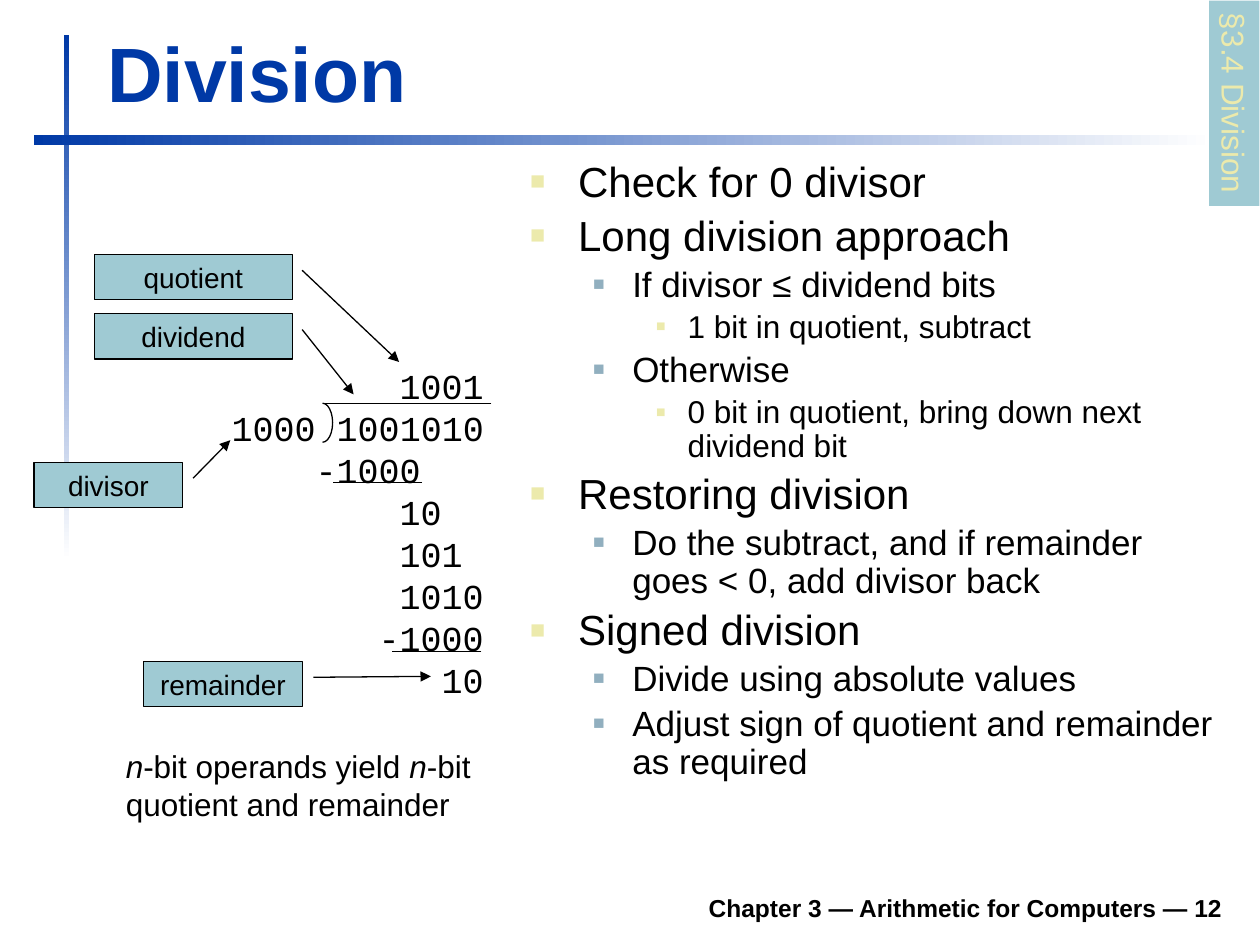
"""Build the Division slide: a long-division diagram beside a bulleted summary."""
from lxml.etree import SubElement
from pptx import Presentation
from pptx.dml.color import RGBColor
from pptx.enum.shapes import MSO_CONNECTOR, MSO_SHAPE
from pptx.enum.text import MSO_ANCHOR, MSO_AUTO_SIZE, PP_ALIGN
from pptx.oxml import parse_xml
from pptx.oxml.ns import nsdecls, qn
from pptx.util import Inches, Pt

BLUE, TEAL, CREAM, STEEL = "0039A6", "9FCAD3", "ECEAAC", "91AFBF"
BLACK, WHITE = "000000", "FFFFFF"


def rgb(value):
    return RGBColor.from_string(value)


def style(paragraph, size, color=BLACK, name="Arial", bold=False):
    font = paragraph.font
    font.size, font.name, font.bold = Pt(size), name, bold
    font.color.rgb = rgb(color)


deck = Presentation()
deck.slide_width, deck.slide_height = Inches(10), Inches(7.5)
slide = deck.slides.add_slide(deck.slide_layouts[5])
shapes = slide.shapes

for left, top, width, height, angle in (
    (0.51, 0.28, 0.04, 4.17, 270),
    (0.27, 1.07, 9.37, 0.08, 0),
):
    rule = shapes.add_shape(MSO_SHAPE.RECTANGLE, Inches(left), Inches(top), Inches(width), Inches(height))
    rule.shadow.inherit = False
    rule.line.fill.background()
    rule.fill.gradient()
    rule.fill.gradient_angle = angle
    for stop, color, position in zip(rule.fill.gradient_stops, (BLUE, WHITE), (0, 1)):
        stop.color.rgb = rgb(color)
        stop.position = position

title = shapes.title
title.left, title.top, title.width, title.height = Inches(0.75), Inches(0.16), Inches(9.03), Inches(0.83)
title.text_frame.text = "Division"
title.text_frame.vertical_anchor = MSO_ANCHOR.BOTTOM
title.text_frame.auto_size = MSO_AUTO_SIZE.NONE
title.text_frame.paragraphs[0].alignment = PP_ALIGN.LEFT
style(title.text_frame.paragraphs[0], 44, BLUE, bold=True)

footer = shapes.add_textbox(Inches(1.85), Inches(6.98), Inches(7.95), Inches(0.39)).text_frame
footer.word_wrap = True
footer.vertical_anchor = MSO_ANCHOR.BOTTOM
footer.text = "Chapter 3 — Arithmetic for Computers — 12"
footer.paragraphs[0].alignment = PP_ALIGN.RIGHT
style(footer.paragraphs[0], 14, bold=True)

levels = (
    (24, 0.38, 0.38, CREAM, 60),
    (20, 0.81, 0.31, STEEL, 55),
    (18, 1.25, 0.25, CREAM, 50),
)
points = (
    (0, "Check for 0 divisor"),
    (0, "Long division approach"),
    (1, "If divisor ≤ dividend bits"),
    (2, "1 bit in quotient, subtract"),
    (1, "Otherwise"),
    (2, "0 bit in quotient, bring down next dividend bit"),
    (0, "Restoring division"),
    (1, "Do the subtract, and if remainder goes < 0, add divisor back"),
    (0, "Signed division"),
    (1, "Divide using absolute values"),
    (1, "Adjust sign of quotient and remainder as required"),
)
summary = shapes.add_textbox(Inches(4.11), Inches(1.23), Inches(5.69), Inches(5.59)).text_frame
summary.word_wrap = True
for index, (level, wording) in enumerate(points):
    point = summary.add_paragraph() if index else summary.paragraphs[0]
    size, margin, hanging, bullet_color, bullet_size = levels[level]
    point.text = wording
    point.level = level
    point.line_spacing = 0.9
    properties = point._p.get_or_add_pPr()
    properties.set("marL", str(Inches(margin)))
    properties.set("indent", str(-Inches(hanging)))
    for markup in (
        '<a:spcBef {}><a:spcPct val="20000"/></a:spcBef>',
        '<a:buClr {}>' + f'<a:srgbClr val="{bullet_color}"/></a:buClr>',
        '<a:buSzPct {} ' + f'val="{bullet_size * 1000}"/>',
        '<a:buFont {} typeface="Arial"/>',
        '<a:buChar {} char="■"/>',
    ):
        properties.append(parse_xml(markup.format(nsdecls("a"))))
    style(point, size)

digit_width = 0.6 * 20 / 72
steps = ((8, "1001"), (0, "1000 1001010"), (4, "-1000"), (8, "10"),
         (8, "101"), (8, "1010"), (7, "-1000"), (10, "10"))
working = shapes.add_textbox(Inches(1.74), Inches(2.84), Inches(2.3), Inches(2.77)).text_frame
working.word_wrap = True
for index, (column, digits) in enumerate(steps):
    step = working.add_paragraph() if index else working.paragraphs[0]
    step.text = digits
    step.line_spacing = Pt(24)
    step._p.get_or_add_pPr().set("marL", str(Inches(column * digit_width)))
    style(step, 20, name="Courier New")

for start, end, height in ((3.9, 2.56, 3.2), (3.35, 2.64, 3.83), (3.82, 3.11, 5.17)):
    bar = shapes.add_connector(MSO_CONNECTOR.STRAIGHT, Inches(start), Inches(height), Inches(end), Inches(height))
    bar.line.color.rgb = rgb(BLACK)
    bar.line.width = Pt(0.75)
    SubElement(bar._element.spPr, qn("a:effectLst"))

bracket = shapes.add_shape(MSO_SHAPE.RIGHT_BRACKET, Inches(2.56), Inches(3.2), Inches(0.08), Inches(0.31))
bracket.adjustments[0] = 1.94
bracket.shadow.inherit = False
bracket.fill.background()
bracket.line.color.rgb = rgb(BLACK)
bracket.line.width = Pt(0.75)

note = shapes.add_textbox(Inches(0.9), Inches(5.88), Inches(2.94), Inches(0.7)).text_frame
note.word_wrap = False
operands = note.paragraphs[0]
style(operands, 18)
for wording, italic in (("n", True), ("-bit operands yield ", False), ("n", True), ("-bit", False)):
    run = operands.add_run()
    run.text = wording
    run.font.italic = italic
operands.add_line_break()
operands.add_run().text = "quotient and remainder"

for name, left, top, width, pointer in (
    ("quotient", 0.75, 2.02, 1.57, (0.35, 1.05, 2.37, 1.54)),
    ("dividend", 0.75, 2.49, 1.57, (0.35, 1.05, 1.78, 1.31)),
    ("remainder", 1.14, 5.25, 1.26, (0.35, 1.07, 0.33, 1.81)),
    ("divisor", 0.27, 3.67, 1.18, (0.35, 1.07, -0.49, 1.32)),
):
    callout = shapes.add_shape(MSO_SHAPE.LINE_CALLOUT_1, Inches(left), Inches(top), Inches(width), Inches(0.36))
    for index, value in enumerate(pointer):
        callout.adjustments[index] = value
    callout.shadow.inherit = False
    callout.fill.solid()
    callout.fill.fore_color.rgb = rgb(TEAL)
    callout.line.color.rgb = rgb(BLACK)
    callout.line.width = Pt(0.75)
    SubElement(callout.line._get_or_add_ln(), qn("a:tailEnd"), type="triangle")
    callout.text_frame.text = name
    callout.text_frame.vertical_anchor = MSO_ANCHOR.TOP
    callout.text_frame.paragraphs[0].alignment = PP_ALIGN.CENTER
    style(callout.text_frame.paragraphs[0], 16)

section = shapes.add_shape(MSO_SHAPE.RECTANGLE, Inches(8.98), Inches(0.62), Inches(1.63), Inches(0.4))
section.rotation = 90
section.shadow.inherit = False
section.fill.solid()
section.fill.fore_color.rgb = rgb(TEAL)
section.line.fill.background()
section.text_frame.word_wrap = False
section.text_frame.vertical_anchor = MSO_ANCHOR.TOP
section.text_frame.text = "§3.4 Division"
section.text_frame.paragraphs[0].alignment = PP_ALIGN.LEFT
style(section.text_frame.paragraphs[0], 18, CREAM)

deck.save("out.pptx")
